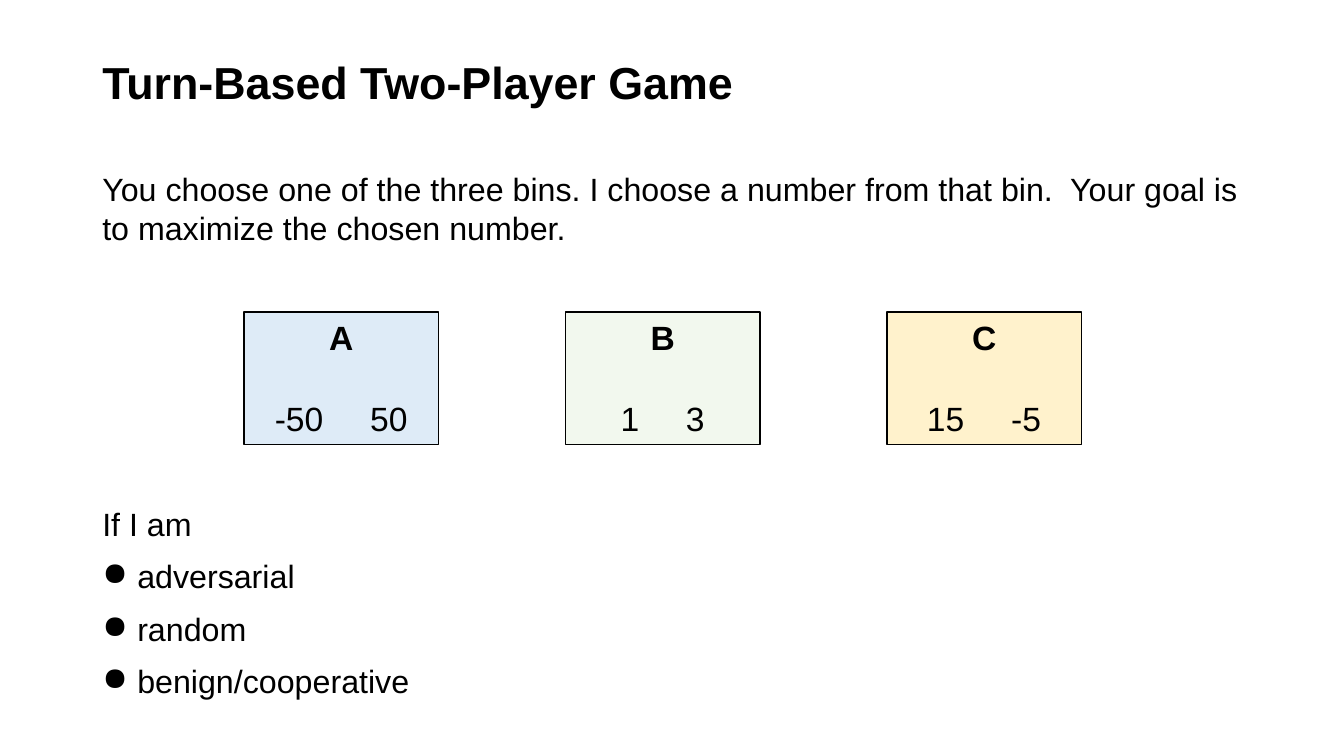
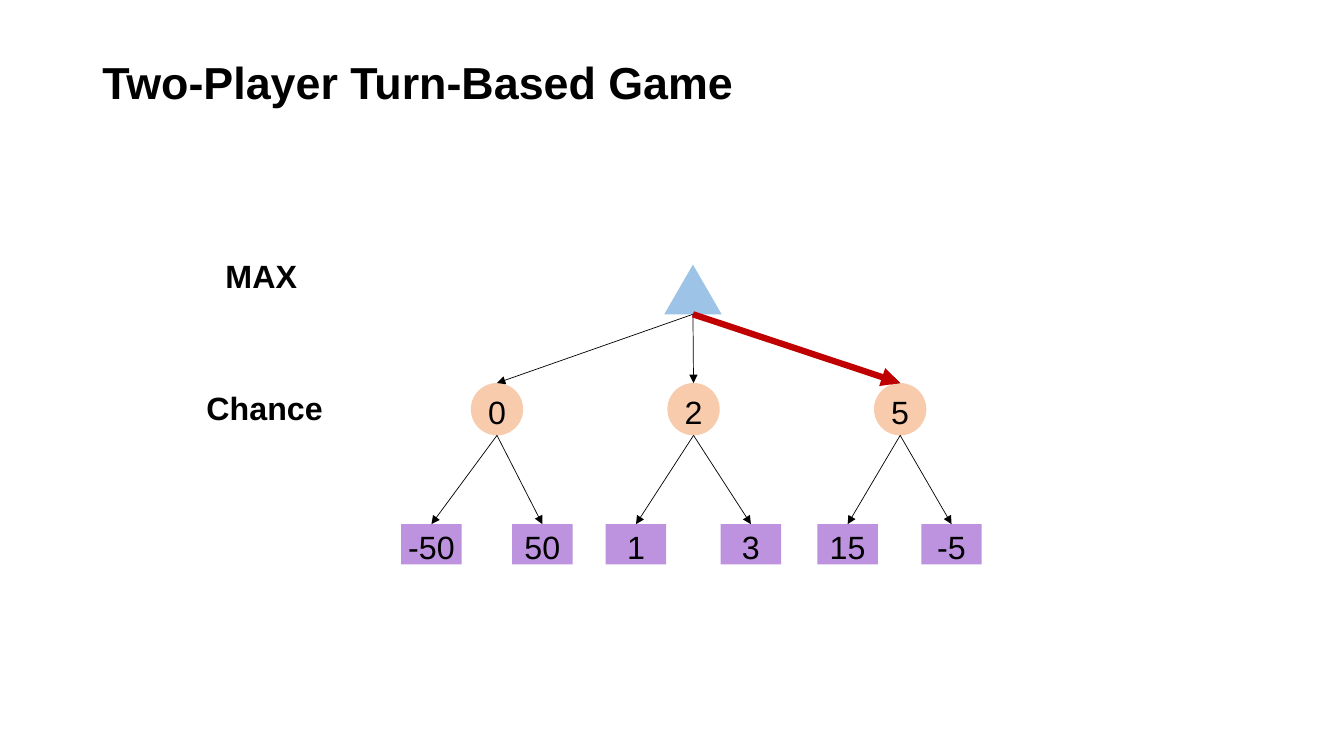
from dataclasses import dataclass

from lxml.etree import SubElement
from pptx import Presentation
from pptx.dml.color import RGBColor as RGB
from pptx.enum.shapes import MSO_CONNECTOR as CONNECTOR, MSO_SHAPE as SHAPE
from pptx.enum.text import MSO_ANCHOR as ANCHOR, PP_ALIGN as ALIGN
from pptx.oxml.ns import qn
from pptx.util import Pt


@dataclass(frozen=True)
class Theme:
    font: str = "Arial"
    title_size: float = 32
    body_size: float = 23
    bin_size: float = 24
    ink: str = "000000"
    bins: tuple = ("DEEBF7", "F2F8EE", "FFF2CC")
    max_node: str = "9DC3E6"
    chance_node: str = "F8CBAD"
    leaf: str = "BD92DE"
    best_move: str = "C00000"


class Deck:
    def __init__(self, theme):
        self.theme = theme
        self.file = Presentation()
        self.file.slide_width, self.file.slide_height = Pt(960), Pt(540)
        self.slide = None

    def new_slide(self, title):
        self.slide = self.file.slides.add_slide(self.file.slide_layouts[6])
        frame = self.text_frame(66, 29, 828, 64)
        frame.vertical_anchor = ANCHOR.MIDDLE
        heading = frame.paragraphs[0]
        heading.line_spacing = 0.9
        self.set_text(heading, title, self.theme.title_size, bold=True)

    def text_frame(self, left, top, width, height):
        box = self.slide.shapes.add_textbox(Pt(left), Pt(top), Pt(width), Pt(height))
        box.text_frame.word_wrap = True
        return box.text_frame

    def set_text(self, paragraph, text, size, bold=False):
        paragraph.text = text
        font = paragraph.font
        font.name, font.size, font.bold = self.theme.font, Pt(size), bold
        font.color.rgb = RGB.from_string(self.theme.ink)

    def text(self, left, top, width, height, text, bullets=(), bold=False):
        frame = self.text_frame(left, top, width, height)
        self.set_text(frame.paragraphs[0], text, self.theme.body_size, bold)
        for item in bullets:
            paragraph = frame.add_paragraph()
            paragraph.space_before = Pt(10)
            props = paragraph._p.get_or_add_pPr()
            props.set("marL", str(Pt(25)))
            props.set("indent", str(-Pt(25)))
            SubElement(props, qn("a:buChar")).set("char", "●")
            self.set_text(paragraph, item, self.theme.body_size)

    def shape(self, kind, left, top, width, height, fill):
        shape = self.slide.shapes.add_shape(kind, Pt(left), Pt(top), Pt(width), Pt(height))
        shape.shadow.inherit = False
        shape.fill.solid()
        shape.fill.fore_color.rgb = RGB.from_string(fill)
        shape.line.fill.background()
        return shape

    def node(self, kind, left, top, width, height, fill, value):
        """Draw a tree node with its value in the middle."""
        node = self.shape(kind, left, top, width, height, fill)
        frame = node.text_frame
        frame.word_wrap = False
        frame.vertical_anchor = ANCHOR.MIDDLE
        frame.margin_left = frame.margin_right = frame.margin_bottom = 0
        frame.margin_top = Pt(4)
        frame.paragraphs[0].alignment = ALIGN.CENTER
        self.set_text(frame.paragraphs[0], value, self.theme.body_size)
        return node

    def bin(self, left, name, numbers, first_end, fill):
        """Draw a bin; its first number ends at first_end, the second follows a gap."""
        box = self.shape(SHAPE.RECTANGLE, left, 223, 139, 94.5, fill)
        box.line.color.rgb = RGB.from_string(self.theme.ink)
        box.line.width = Pt(1)
        frame = box.text_frame
        frame.word_wrap = True
        frame.vertical_anchor = ANCHOR.TOP
        heading, content = frame.paragraphs[0], frame.add_paragraph()
        heading.alignment, content.alignment = ALIGN.CENTER, ALIGN.LEFT
        content.space_before = Pt(29)
        tabs = SubElement(content._p.get_or_add_pPr(), qn("a:tabLst"))
        for position, side in ((first_end, "r"), (first_end + 33.4, "l")):
            SubElement(tabs, qn("a:tab"), pos=str(Pt(position)), algn=side)
        self.set_text(heading, name, self.theme.bin_size, bold=True)
        self.set_text(content, "".join(f"\t{number}" for number in numbers),
                      self.theme.bin_size)

    def arrow(self, start, target, color, width):
        """Draw an arrow from a point to the top middle of the target."""
        x, y = Pt(start[0]), Pt(start[1])
        arrow = self.slide.shapes.add_connector(CONNECTOR.STRAIGHT, x, y, x, y)
        arrow.end_connect(target, 0)
        arrow.line.color.rgb = RGB.from_string(color)
        arrow.line.width = Pt(width)
        props = arrow._element.spPr
        SubElement(props.find(qn("a:ln")), qn("a:tailEnd")).set("type", "triangle")
        SubElement(props, qn("a:effectLst"))


def game_slide(deck):
    deck.new_slide("Turn-Based Two-Player Game")
    deck.text(66, 117.4, 828, 68.4,
              "You choose one of the three bins. I choose a number from that bin.  "
              "Your goal is to maximize the chosen number.")
    bins = (("A", ("-50", "50"), 49.6), ("B", ("1", "3"), 45.6), ("C", ("15", "-5"), 48.3))
    for column, (content, fill) in enumerate(zip(bins, deck.theme.bins)):
        deck.bin(174.3 + 229.6 * column, *content, fill)
    deck.text(66, 356.4, 297, 161, "If I am",
              bullets=("adversarial", "random", "benign/cooperative"))


def tree_slide(deck):
    theme = deck.theme
    deck.new_slide("Two-Player Turn-Based Game")
    deck.text(154, 179.3, 94, 52.6, "MAX", bold=True)
    deck.text(140.4, 273.6, 139, 52.6, "Chance", bold=True)

    root_x, root_bottom = 495, 224.5
    deck.shape(SHAPE.ISOSCELES_TRIANGLE, root_x - 20.5, root_bottom - 35.5, 41, 35.5,
               theme.max_node)
    size, chance_top = 37.4, 273.6
    branches = (
        (355, "0", ((286.6, "-50"), (365.8, "50"))),
        (495.4, "2", ((432.7, "1"), (514.8, "3"))),
        (643, "5", ((583.9, "15"), (658.1, "-5"))),
    )
    for center, expected, leaves in branches:
        chance = deck.node(SHAPE.OVAL, center - size / 2, chance_top, size, size,
                           theme.chance_node, expected)
        deck.arrow((root_x, root_bottom), chance, theme.ink, 0.5)
        for left, value in leaves:
            leaf = deck.node(SHAPE.RECTANGLE, left, 374.4, 43.2, 28.8, theme.leaf, value)
            deck.arrow((center, chance_top + size), leaf, theme.ink, 0.5)
    deck.arrow((root_x, root_bottom), chance, theme.best_move, 4.5)


def main():
    deck = Deck(Theme())
    game_slide(deck)
    tree_slide(deck)
    deck.file.save("out.pptx")


if __name__ == "__main__":
    main()
